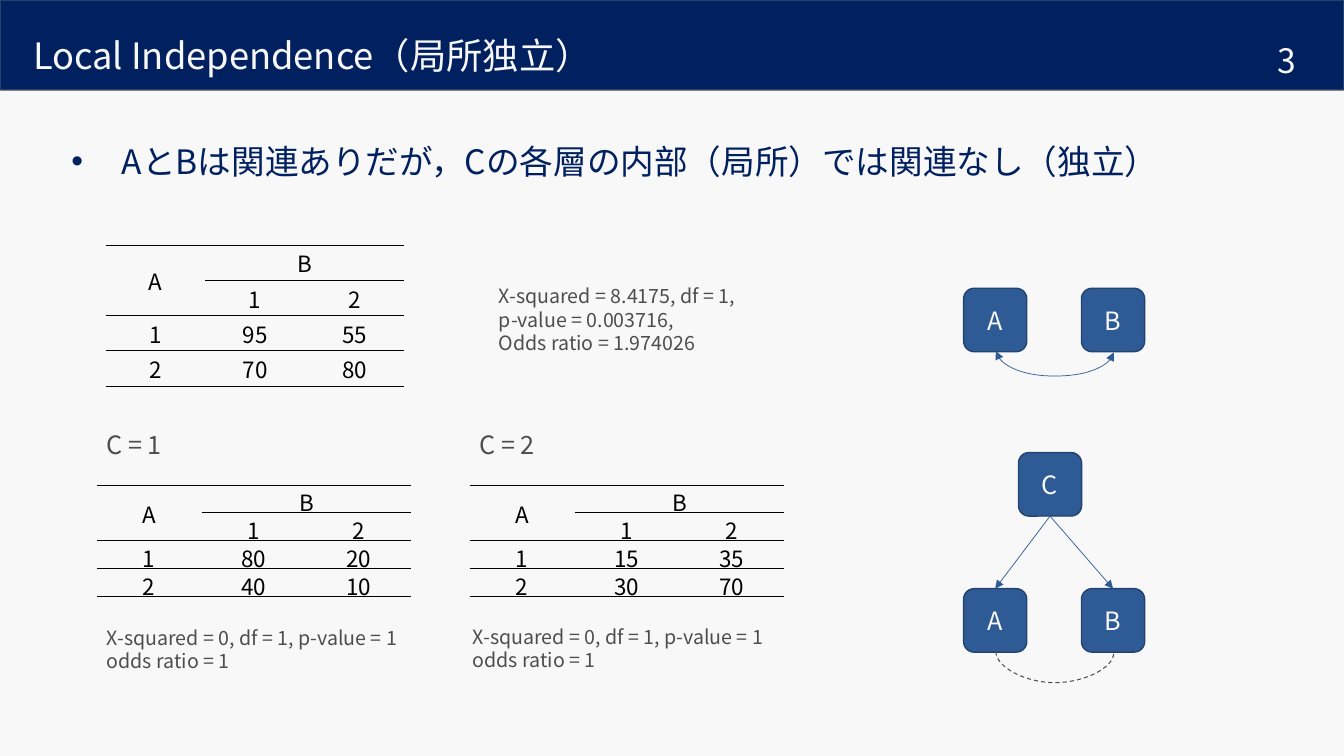
from dataclasses import dataclass

from lxml import etree
from pptx import Presentation
from pptx import util as u
from pptx.dml.color import RGBColor
from pptx.enum import dml, shapes, text
from pptx.oxml.ns import qn


@dataclass(frozen=True)
class Theme:
    font: str = "Noto Sans CJK JP"
    light: str = "F8F8F8"
    navy: str = "002060"
    blue: str = "2E5B96"
    edge: str = "22436F"
    rule: str = "858585"
    grey: str = "4D4D4D"
    black: str = "000000"
    title: float = 25.9
    lead: float = 24
    label: float = 18
    cell: float = 16
    note: float = 14


theme = Theme()
rgb = RGBColor.from_string
NO_STYLE = "{2D5ABB26-0587-4C30-8999-92F81FD0307C}"


def add_xml(parent, tag, **attributes):
    """Append a DrawingML element to parent and return it."""
    return etree.SubElement(parent, qn(tag), attributes)


def write(frame, content, size, color, align=None, spacing=None, before=None, bullet=False):
    """Write content into a text frame: \\n parts paragraphs, \\v breaks a line."""
    frame.text = content
    for paragraph in frame.paragraphs:
        paragraph.alignment = align
        paragraph.line_spacing = spacing
        paragraph.space_before = before
        if bullet:
            properties = paragraph._p.get_or_add_pPr()
            properties.set("marL", str(u.Inches(0.5)))
            properties.set("indent", str(-u.Inches(0.5)))
            add_xml(properties, "a:buFont", typeface="Arial")
            add_xml(properties, "a:buChar", char="•")
        for run in paragraph.runs:
            run.font.size = u.Pt(size)
            run.font.name = theme.font
            run.font.color.rgb = rgb(color)
            add_xml(run._r.get_or_add_rPr(), "a:ea", typeface=theme.font)


presentation = Presentation()
presentation.slide_width, presentation.slide_height = u.Inches(13.333), u.Inches(7.5)
column = presentation.slide_width / 100
row = presentation.slide_height / 100
slide = presentation.slides.add_slide(presentation.slide_layouts[6])
slide.background.fill.solid()
slide.background.fill.fore_color.rgb = rgb(theme.light)
connectors = []

# Header band and its rule
band = slide.shapes.add_shape(shapes.MSO_SHAPE.RECTANGLE, 0, 0, int(100 * column), int(11.87 * row))
band.shadow.inherit = False
band.fill.solid()
band.fill.fore_color.rgb = rgb(theme.navy)
band.line.color.rgb = rgb(theme.edge)
band.line.width = u.Pt(1)
header_rule = slide.shapes.add_connector(
    shapes.MSO_CONNECTOR.STRAIGHT, 0, int(12 * row), int(100 * column), int(12 * row))
connectors.append((header_rule, theme.rule, 1, ()))

# Text boxes: content, left, top, width, height, wrap, format
label = dict(size=theme.label, color=theme.grey)
note = dict(size=theme.note, color=theme.grey)
independent = "X-squared = 0, df = 1, p-value = 1\vodds ratio = 1"
dependent = "X-squared = 8.4175, df = 1, \vp-value = 0.003716,\nOdds ratio = 1.974026"
for content, left, top, width, height, wrap, style in (
    ("3", 94.28, 4.67, 4.58, 6.67, False, dict(size=theme.lead, color=theme.light)),
    ("Local Independence（局所独立）", 1.73, 4.4, 93.98, 6.8, True,
     dict(size=theme.title, color=theme.light, spacing=0.9, before=u.Pt(18))),
    ("AとBは関連ありだが，Cの各層の内部（局所）では関連なし（独立）", 4.58, 15.33, 91.05, 9.33, True,
     dict(size=theme.lead, color=theme.navy, spacing=1.5, before=u.Pt(18), bullet=True)),
    (dependent, 36.38, 36.93, 20.7, 10.8, False, note),
    ("C = 1", 7.2, 56.13, 6.3, 5.33, False, label),
    ("C = 2", 34.95, 56.13, 6.3, 5.33, False, label),
    (independent, 7.2, 82.13, 24.9, 7.6, False, note),
    (independent, 34.43, 82, 24.9, 7.6, False, note),
):
    box = slide.shapes.add_textbox(
        int(left * column), int(top * row), int(width * column), int(height * row))
    box.text_frame.word_wrap = wrap
    if not wrap:
        box.text_frame.auto_size = text.MSO_AUTO_SIZE.SHAPE_TO_FIT_TEXT
    write(box.text_frame, content, **style)

# Contingency tables: left, top, cell width, cell height, counts
for left, top, width, height, counts in (
    (7.88, 32.4, 7.4, 4.67, ((95, 55), (70, 80))),
    (7.2, 64.13, 7.8, 3.7, ((80, 20), (40, 10))),
    (34.95, 64.13, 7.8, 3.7, ((15, 35), (30, 70))),
):
    frame = slide.shapes.add_table(
        4, 3, int(left * column), int(top * row), int(3 * width * column), int(4 * height * row))
    table = frame.table
    table.first_row = table.horz_banding = False
    table._tbl.tblPr.find(qn("a:tableStyleId")).text = NO_STYLE
    for table_row in table.rows:
        table_row.height = int(height * row)
    values = (("A", "B", ""), ("", "1", "2"), ("1", *counts[0]), ("2", *counts[1]))
    for i, line in enumerate(values):
        for j, value in enumerate(line):
            cell = table.cell(i, j)
            cell.margin_left = cell.margin_right = cell.margin_top = u.Inches(0.01)
            cell.margin_bottom = 0
            cell.vertical_anchor = text.MSO_ANCHOR.MIDDLE
            write(cell.text_frame, str(value), theme.cell, theme.black, text.PP_ALIGN.CENTER)
            sides = ["a:lnT"] if i in (0, 2) or (i == 1 and j > 0) else []
            sides += ["a:lnB"] if i in (1, 3) or (i == 0 and j > 0) else []
            for side in sides:
                border = add_xml(cell._tc.get_or_add_tcPr(), side, w=str(u.Pt(0.5)))
                add_xml(add_xml(border, "a:solidFill"), "a:srgbClr", val=theme.black)
            cell.fill.background()
    table.cell(0, 0).merge(table.cell(1, 0))
    table.cell(0, 1).merge(table.cell(0, 2))

# Variable nodes
node_width, node_height = 4.7, 8.4
a_left, b_left, c_left = 71.7, 80.47, 75.78
upper, middle, lower = 38.13, 59.87, 77.87
nodes = {}
for name, left, top in (("A", a_left, lower), ("B", b_left, lower), ("C", c_left, middle),
                        ("A", a_left, upper), ("B", b_left, upper)):
    node = slide.shapes.add_shape(
        shapes.MSO_SHAPE.ROUNDED_RECTANGLE, int(left * column), int(top * row),
        int(node_width * column), int(node_height * row))
    node.shadow.inherit = False
    node.fill.solid()
    node.fill.fore_color.rgb = rgb(theme.blue)
    node.line.color.rgb = rgb(theme.edge)
    node.line.width = u.Pt(1)
    node.text_frame.vertical_anchor = text.MSO_ANCHOR.MIDDLE
    write(node.text_frame, name, theme.label, theme.light, text.PP_ALIGN.CENTER)
    nodes[name, top] = node

# Arrows from C to A and B
for name in "AB":
    arrow = slide.shapes.add_connector(shapes.MSO_CONNECTOR.STRAIGHT, 0, 0, 0, 0)
    arrow.begin_connect(nodes["C", middle], 2)
    arrow.end_connect(nodes[name, lower], 0)
    connectors.append((arrow, theme.blue, 0.5, ("a:tailEnd",)))

# Arcs below each A and B pair; bulge is in multiples of the one-point box width
arc_width, arc_length = u.Pt(1), int((b_left - a_left) * column)
arc_left = int((a_left + b_left + node_width) / 2 * column)
for top, bulge, color, weight, ends in (
    (upper, 18, theme.blue, 0.5, ("a:headEnd", "a:tailEnd")),
    (lower, 22.44, theme.grey, 0.75, ()),
):
    arc_top = int((top + node_height) * row - arc_length / 2)
    arc = slide.shapes.add_connector(shapes.MSO_CONNECTOR.CURVE, arc_left, arc_top,
                                     arc_left + arc_width, arc_top + arc_length)
    properties = arc._element.spPr
    properties.xfrm.set("rot", str(270 * 60000))
    properties.xfrm.set("flipH", "1")
    guides = properties.find(qn("a:prstGeom")).find(qn("a:avLst"))
    add_xml(guides, "a:gd", name="adj1", fmla=f"val {int(bulge * 100000)}")
    if not ends:
        arc.line.dash_style = dml.MSO_LINE.DASH
    connectors.append((arc, color, weight, ends))

for connector, color, weight, ends in connectors:
    connector.line.color.rgb = rgb(color)
    connector.line.width = u.Pt(weight)
    for end in ends:
        add_xml(connector.line._get_or_add_ln(), end, type="triangle")
    add_xml(connector._element.spPr, "a:effectLst")

presentation.save("out.pptx")
